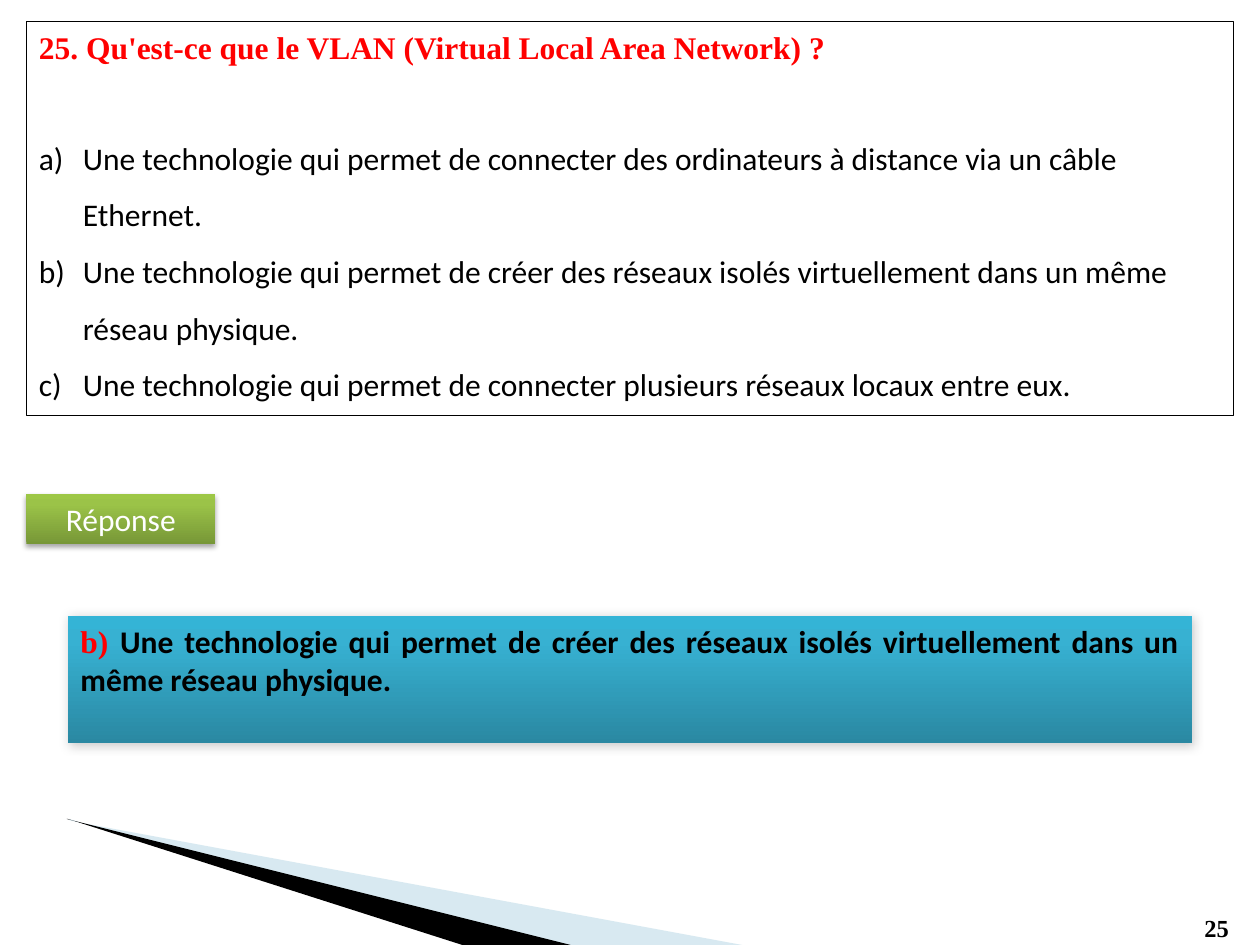
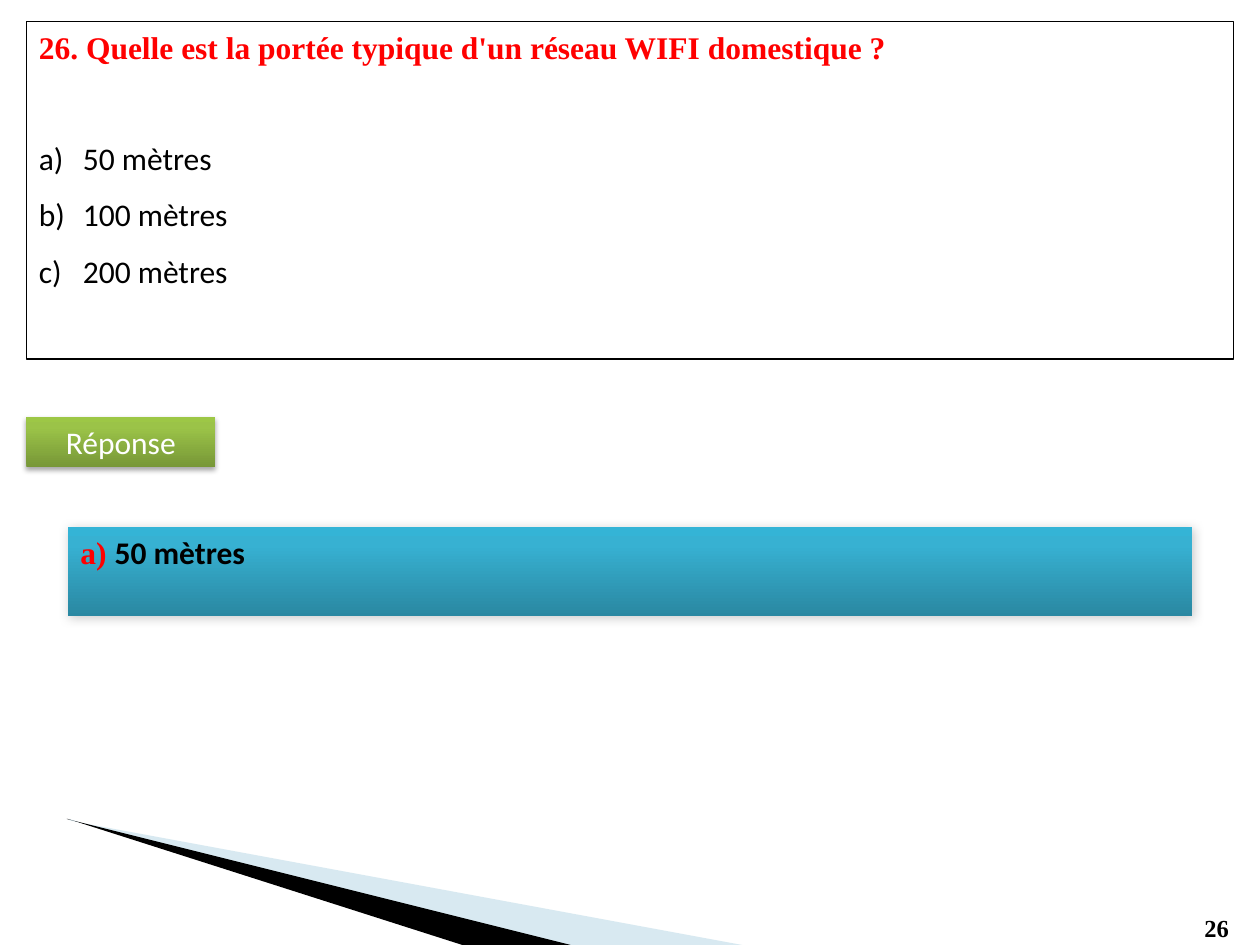
from lxml.etree import SubElement
from pptx import Presentation
from pptx.dml.color import RGBColor
from pptx.enum.shapes import MSO_SHAPE
from pptx.enum.text import MSO_ANCHOR, PP_ALIGN
from pptx.oxml import parse_xml
from pptx.oxml.ns import nsdecls, qn
from pptx.util import Inches, Pt

BLACK = RGBColor(0x00, 0x00, 0x00)
WHITE = RGBColor(0xFF, 0xFF, 0xFF)
RED = RGBColor(0xFF, 0x00, 0x00)
PALE_BLUE = RGBColor(0x9F, 0xCA, 0xDC)
GREENS = [RGBColor(0x77, 0x97, 0x37), RGBColor(0x9B, 0xC3, 0x48), RGBColor(0x9D, 0xC7, 0x46)]
BLUES = [RGBColor(0x2A, 0x88, 0xA2), RGBColor(0x37, 0xB1, 0xD2), RGBColor(0x34, 0xB4, 0xD6)]
GRADIENT_STOPS = [0, 80, 100]
HEADING_FONT = "Times New Roman"
BODY_FONT = "Calibri"
MARGIN = 0.21

WEDGES = [
    ([(0.55, 6.5), (0.55, 6.51), (0.64, 6.53), (4.51, 7.5), (5.89, 7.5), (0.64, 6.53)], PALE_BLUE, 40),
    ([(0.53, 6.5), (0.54, 6.5), (3.67, 7.5), (4.53, 7.5)], BLACK, 100),
]

QUESTIONS = [
    {
        "number": 25,
        "title": "Qu'est-ce que le VLAN (Virtual Local Area Network) ?",
        "choices": [
            "Une technologie qui permet de connecter des ordinateurs à distance via un câble Ethernet.",
            "Une technologie qui permet de créer des réseaux isolés virtuellement dans un même réseau physique.",
            "Une technologie qui permet de connecter plusieurs réseaux locaux entre eux.",
        ],
        "correct": 1,
        "question_height": 3.13,
        "label_top": 3.92,
        "answer_top": 4.89,
        "answer_height": 1.01,
    },
    {
        "number": 26,
        "title": "Quelle est la portée typique d'un réseau WIFI domestique ?",
        "choices": ["50 mètres", "100 mètres", "200 mètres"],
        "correct": 0,
        "question_height": 2.68,
        "label_top": 3.31,
        "answer_top": 4.18,
        "answer_height": 0.71,
    },
]


def add_box(page, left, top, width, height, colors=None, shadow=None):
    box = page.shapes.add_shape(
        MSO_SHAPE.RECTANGLE, Inches(left), Inches(top), Inches(width), Inches(height)
    )
    box.shadow.inherit = False
    box.fill.background()
    box.text_frame.word_wrap = True
    box.text_frame.vertical_anchor = MSO_ANCHOR.TOP
    if colors is None:
        box.line.color.rgb = BLACK
        box.line.width = Pt(0.75)
        return box
    box.line.fill.background()
    properties = box.element.spPr
    stops = "".join(
        f'<a:gs pos="{stop * 1000}"><a:srgbClr val="{color}"/></a:gs>'
        for stop, color in zip(GRADIENT_STOPS, colors)
    )
    gradient = parse_xml(
        f'<a:gradFill {nsdecls("a")} rotWithShape="1"><a:gsLst>{stops}</a:gsLst>'
        '<a:lin ang="16200000" scaled="0"/></a:gradFill>'
    )
    properties.replace(properties.find(qn("a:noFill")), gradient)
    opacity, blur, distance, angle = shadow
    properties.find(qn("a:effectLst")).append(parse_xml(
        f'<a:outerShdw {nsdecls("a")} blurRad="{Pt(blur)}" dist="{Pt(distance)}" '
        f'dir="{angle * 60000}" rotWithShape="0"><a:srgbClr val="{BLACK}">'
        f'<a:alpha val="{opacity * 1000}"/></a:srgbClr></a:outerShdw>'
    ))
    return box


def style_text(font, name, color, bold=False, size=18):
    font.name = name
    font.size = Pt(size)
    font.bold = bold
    font.color.rgb = color


deck = Presentation()
deck.slide_width = Inches(10)
deck.slide_height = Inches(7.5)

for question in QUESTIONS:
    page = deck.slides.add_slide(deck.slide_layouts[6])

    for points, color, opacity in WEDGES:
        corners = [(Inches(x), Inches(y)) for x, y in points]
        builder = page.shapes.build_freeform(*corners[0])
        builder.add_line_segments(corners[1:], close=True)
        wedge = builder.convert_to_shape()
        wedge.shadow.inherit = False
        wedge.line.fill.background()
        wedge.fill.solid()
        wedge.fill.fore_color.rgb = color
        if opacity < 100:
            fill_color = wedge.element.spPr.find(qn("a:solidFill")).find(qn("a:srgbClr"))
            SubElement(fill_color, qn("a:alpha")).set("val", str(opacity * 1000))

    number_box = page.shapes.add_textbox(Inches(9.46), Inches(7.2), Inches(0.53), Inches(0.34))
    number_box.text_frame.word_wrap = True
    para = number_box.text_frame.paragraphs[0]
    para.text = str(question["number"])
    style_text(para.font, HEADING_FONT, BLACK, bold=True, size=14)

    question_box = add_box(page, MARGIN, 0.17, 10 - 2 * MARGIN, question["question_height"])
    para = question_box.text_frame.paragraphs[0]
    para.text = f'{question["number"]}. {question["title"]}'
    para.alignment = PP_ALIGN.LEFT
    para.space_after = Pt(31)
    style_text(para.font, HEADING_FONT, RED, bold=True)
    for choice in question["choices"]:
        para = question_box.text_frame.add_paragraph()
        para.text = choice
        para.alignment = PP_ALIGN.LEFT
        para.line_spacing = 1.5
        style_text(para.font, BODY_FONT, BLACK)
        properties = para._p.get_or_add_pPr()
        properties.set("marL", str(Inches(0.35)))
        properties.set("indent", str(-Inches(0.35)))
        numbering = parse_xml(f'<a:buAutoNum {nsdecls("a")} type="alphaLcParenR"/>')
        properties.find(qn("a:defRPr")).addprevious(numbering)

    label = add_box(page, MARGIN, question["label_top"], 1.5, 0.4, GREENS, (35, 3.1, 1.8, 90))
    para = label.text_frame.paragraphs[0]
    para.text = "Réponse"
    para.alignment = PP_ALIGN.CENTER
    style_text(para.font, BODY_FONT, WHITE)

    answer_box = add_box(
        page, 0.54, question["answer_top"], 8.92, question["answer_height"], BLUES, (20, 6, 1, 45)
    )
    para = answer_box.text_frame.paragraphs[0]
    para.alignment = PP_ALIGN.JUSTIFY
    correct = question["correct"]
    for text, name, color in [
        (f'{"abc"[correct]}) ', HEADING_FONT, RED),
        (question["choices"][correct], BODY_FONT, BLACK),
    ]:
        span = para.add_run()
        span.text = text
        style_text(span.font, name, color, bold=True)

deck.save("out.pptx")
